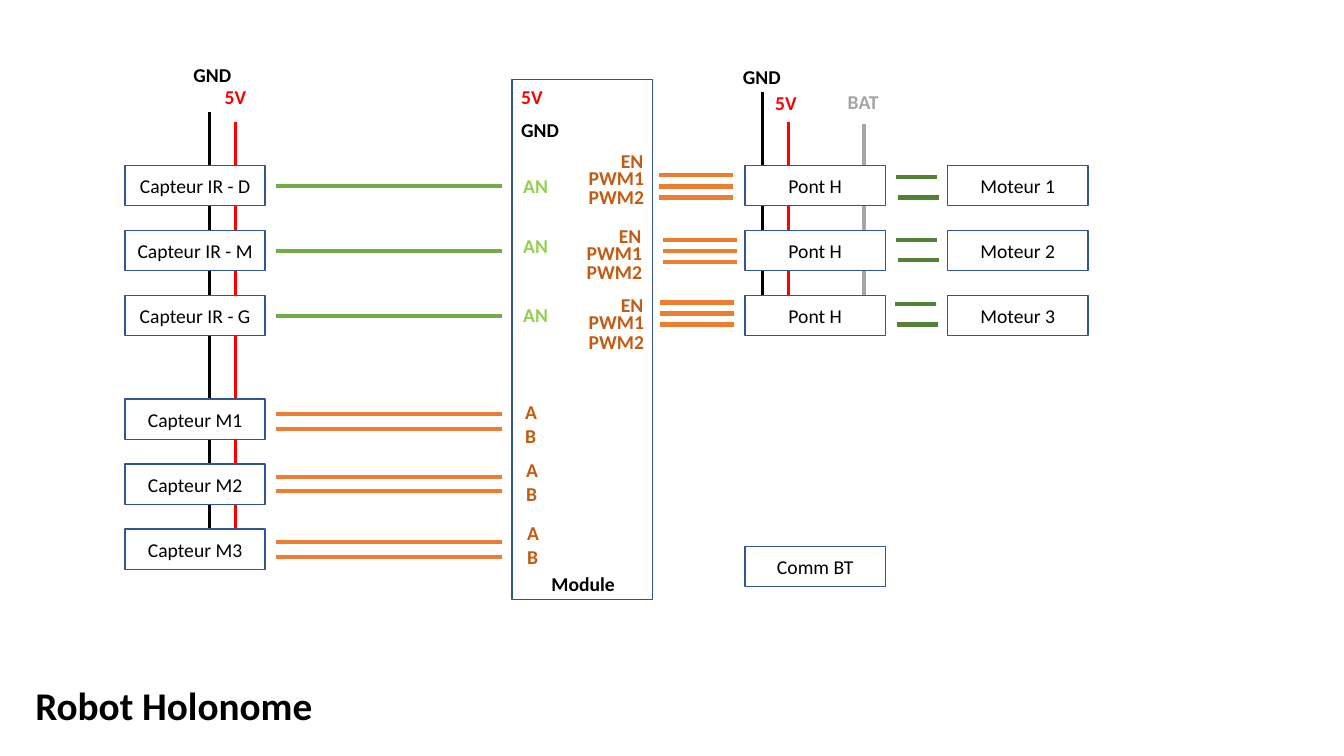
"""Build the wiring diagram of a three-wheeled holonomic robot."""
from dataclasses import dataclass

import pptx
import pptx.dml.color
import pptx.enum.shapes
import pptx.enum.text
import pptx.oxml.ns
import pptx.shapes.autoshape
import pptx.slide
import pptx.text.text
import pptx.util
from lxml import etree

Inches = pptx.util.Inches
RGBColor = pptx.dml.color.RGBColor

BLACK = RGBColor(0x00, 0x00, 0x00)
WHITE = RGBColor(0xFF, 0xFF, 0xFF)
RED = RGBColor(0xFF, 0x00, 0x00)
BATTERY_LINE = RGBColor(0xA6, 0xA6, 0xA6)
BATTERY_TEXT = RGBColor(0xA5, 0xA5, 0xA5)
BOX_BORDER = RGBColor(0x32, 0x54, 0x91)
ANALOG_LINE = RGBColor(0x70, 0xAD, 0x47)
ANALOG_TEXT = RGBColor(0x92, 0xD0, 0x50)
DIGITAL_LINE = RGBColor(0xED, 0x7D, 0x31)
DIGITAL_TEXT = RGBColor(0xC5, 0x5A, 0x11)
MOTOR_LINE = RGBColor(0x54, 0x82, 0x35)

FONT = "Calibri"
BOX_WIDTH, BOX_HEIGHT = 1.39, 0.4
ROW_PITCH = 0.645
UPPER_ROW, LOWER_ROW = 1.64, 3.96
SENSOR_LEFT, BRIDGE_LEFT, MOTOR_LEFT = 1.24, 7.39, 9.4
SENSOR_WIRE_LEFT, SENSOR_WIRE_LENGTH = 2.74, 2.24
POWER_WIDTH, SIGNAL_WIDTH = 2.25, 3


@dataclass(frozen=True)
class Wire:
    left: float
    top: float
    color: RGBColor
    width: float = 0
    height: float = 0
    weight: float = SIGNAL_WIDTH


@dataclass(frozen=True)
class Box:
    left: float
    top: float
    text: str = ""
    height: float = BOX_HEIGHT


@dataclass(frozen=True)
class Label:
    text: str
    left: float
    top: float
    color: RGBColor
    width: float = 0.58


@dataclass(frozen=True)
class Channel:
    infrared: str
    analog_top: float
    control_left: float
    control_top: float
    pin_left: float
    pin_top: float
    output_left: float
    output_top: float
    encoder_wire_top: float
    encoder_left: float
    encoder_top: float


CHANNELS = [
    Channel("D", 1.68, 6.54, 1.74, 6.06, 1.43, 8.89, 1.76, 4.11, 5.11, 3.92),
    Channel("M", 2.27, 6.58, 2.38, 6.04, 2.17, 8.89, 2.38, 4.73, 5.12, 4.49),
    Channel("G", 2.96, 6.55, 3, 6.06, 2.86, 8.88, 3.02, 5.38, 5.13, 5.12),
]
POWER_WIRES = [
    Wire(8.57, 1.23, BATTERY_LINE, height=1.9, weight=POWER_WIDTH),
    Wire(7.56, 0.91, BLACK, height=2.02, weight=POWER_WIDTH),
    Wire(7.82, 1.21, RED, height=2.12, weight=POWER_WIDTH),
    Wire(2.08, 1.11, BLACK, height=4.44, weight=POWER_WIDTH),
    Wire(2.34, 1.21, RED, height=4.44, weight=POWER_WIDTH),
]
FIXED_BOXES = [Box(5.08, 0.79, height=5.16), Box(BRIDGE_LEFT, 5.42, "Comm BT")]
FIXED_LABELS = [
    Label("5V", 2.13, 0.79, RED, 0.5),
    Label("GND", 1.82, 0.58, BLACK),
    Label("5V", 5.07, 0.79, RED, 0.5),
    Label("GND", 5.07, 1.12, BLACK),
    Label("5V", 7.59, 0.85, RED, 0.5),
    Label("GND", 7.27, 0.59, BLACK),
    Label("BAT", 8.31, 0.84, BATTERY_TEXT, 0.53),
    Label("Module", 5.37, 5.62, BLACK, 0.95),
]


def format_paragraph(paragraph: pptx.text.text._Paragraph, size: float,
                     color: RGBColor, bold: bool) -> None:
    paragraph.font.name = FONT
    paragraph.font.size = pptx.util.Pt(size)
    paragraph.font.bold = bold
    paragraph.font.color.rgb = color


def draw_wire(slide: pptx.slide.Slide, wire: Wire) -> None:
    connector = slide.shapes.add_connector(
        pptx.enum.shapes.MSO_CONNECTOR.STRAIGHT,
        Inches(wire.left), Inches(wire.top),
        Inches(wire.left + wire.width), Inches(wire.top + wire.height))
    connector.line.color.rgb = wire.color
    connector.line.width = pptx.util.Pt(wire.weight)
    etree.SubElement(connector._element.spPr, pptx.oxml.ns.qn("a:effectLst"))


def draw_box(slide: pptx.slide.Slide, box: Box) -> None:
    shape = slide.shapes.add_shape(
        pptx.enum.shapes.MSO_SHAPE.RECTANGLE, Inches(box.left), Inches(box.top),
        Inches(BOX_WIDTH), Inches(box.height))
    shape.shadow.inherit = False
    shape.fill.solid()
    shape.fill.fore_color.rgb = WHITE
    shape.line.color.rgb = BOX_BORDER
    shape.line.width = pptx.util.Pt(1)
    if box.text:
        frame = shape.text_frame
        frame.text = box.text
        frame.vertical_anchor = pptx.enum.text.MSO_ANCHOR.MIDDLE
        frame.paragraphs[0].alignment = pptx.enum.text.PP_ALIGN.CENTER
        format_paragraph(frame.paragraphs[0], 14, BLACK, False)


def draw_label(slide: pptx.slide.Slide, label: Label) -> None:
    text_box = slide.shapes.add_textbox(
        Inches(label.left), Inches(label.top), Inches(label.width), Inches(0.34))
    frame = text_box.text_frame
    frame.text = label.text
    frame.word_wrap = True
    frame.auto_size = pptx.enum.text.MSO_AUTO_SIZE.SHAPE_TO_FIT_TEXT
    format_paragraph(frame.paragraphs[0], 14, label.color, True)


def draw_title(title: pptx.shapes.autoshape.Shape) -> None:
    title.left, title.top = Inches(0.25), Inches(6.71)
    title.width, title.height = Inches(2.98), Inches(0.57)
    frame = title.text_frame
    frame.text = "Robot Holonome"
    frame.word_wrap = False
    frame.auto_size = pptx.enum.text.MSO_AUTO_SIZE.NONE
    frame.vertical_anchor = pptx.enum.text.MSO_ANCHOR.TOP
    frame.paragraphs[0].alignment = pptx.enum.text.PP_ALIGN.LEFT
    format_paragraph(frame.paragraphs[0], 28, BLACK, True)


def draw_channel(slide: pptx.slide.Slide, number: int, channel: Channel) -> None:
    upper = UPPER_ROW + (number - 1) * ROW_PITCH
    lower = LOWER_ROW + (number - 1) * ROW_PITCH
    for box in (Box(SENSOR_LEFT, upper, f"Capteur IR - {channel.infrared}"),
                Box(SENSOR_LEFT, lower, f"Capteur M{number}"),
                Box(BRIDGE_LEFT, upper, "Pont H"),
                Box(MOTOR_LEFT, upper, f"Moteur {number}")):
        draw_box(slide, box)

    draw_wire(slide, Wire(SENSOR_WIRE_LEFT, upper + 0.205, ANALOG_LINE, SENSOR_WIRE_LENGTH))
    draw_label(slide, Label("AN", 5.09, channel.analog_top, ANALOG_TEXT))

    for index, phase in enumerate("AB"):
        draw_wire(slide, Wire(SENSOR_WIRE_LEFT, channel.encoder_wire_top + 0.145 * index,
                              DIGITAL_LINE, SENSOR_WIRE_LENGTH))
        draw_label(slide, Label(phase, channel.encoder_left,
                                channel.encoder_top + 0.24 * index, DIGITAL_TEXT))
        draw_wire(slide, Wire(channel.output_left + 0.02 * index,
                              channel.output_top + 0.2 * index, MOTOR_LINE, 0.4))

    pins = [("EN", 0, 0, 0.58), ("PWM1", -0.32, 0.17, 0.93), ("PWM2", -0.32, 0.36, 0.93)]
    for index, (pin, shift, drop, width) in enumerate(pins):
        draw_wire(slide, Wire(channel.control_left, channel.control_top + 0.11 * index,
                              DIGITAL_LINE, 0.73))
        draw_label(slide, Label(pin, channel.pin_left + shift,
                                channel.pin_top + drop, DIGITAL_TEXT, width))


def main() -> None:
    presentation = pptx.Presentation()
    presentation.slide_width, presentation.slide_height = Inches(13.33), Inches(7.5)
    slide = presentation.slides.add_slide(presentation.slide_layouts[5])
    draw_title(slide.shapes.title)
    for wire in POWER_WIRES:
        draw_wire(slide, wire)
    for box in FIXED_BOXES:
        draw_box(slide, box)
    for number, channel in enumerate(CHANNELS, start=1):
        draw_channel(slide, number, channel)
    for label in FIXED_LABELS:
        draw_label(slide, label)
    presentation.save("out.pptx")


if __name__ == "__main__":
    main()
